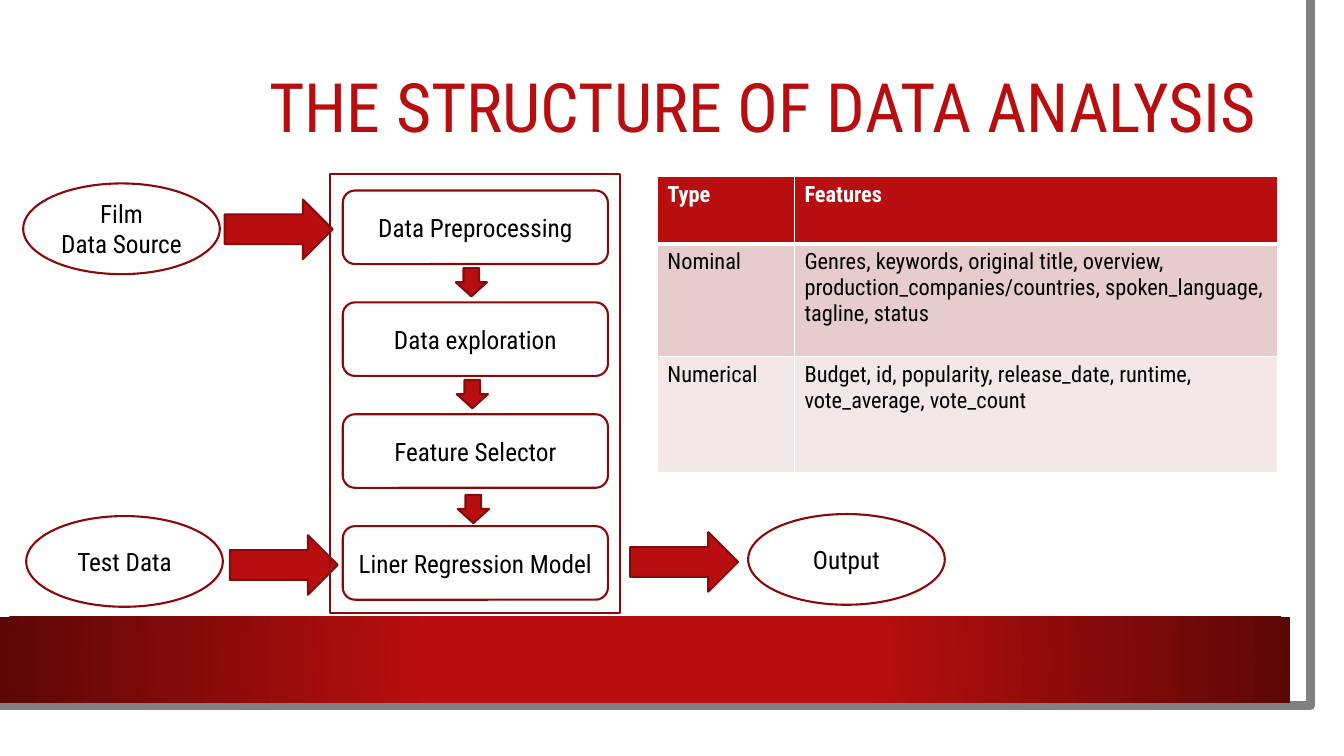
from lxml import etree
from pptx import Presentation
from pptx.dml.color import RGBColor
from pptx.enum.shapes import MSO_SHAPE
from pptx.enum.text import MSO_ANCHOR, PP_ALIGN
from pptx.oxml import parse_xml
from pptx.oxml.ns import nsdecls, qn
from pptx.util import Inches, Pt

RECT = MSO_SHAPE.RECTANGLE
ROUND = MSO_SHAPE.ROUNDED_RECTANGLE
OVAL = MSO_SHAPE.OVAL
RIGHT = MSO_SHAPE.RIGHT_ARROW
DOWN = MSO_SHAPE.DOWN_ARROW
MIDDLE = MSO_ANCHOR.MIDDLE

FONT = "Roboto Condensed"
HEX = {"red": "B80E0F", "edge": "880A0B", "dark": "5C0707", "gray": "808080",
       "white": "FFFFFF", "black": "000000", "rose": "E6CCCC", "pale": "F3E7E7"}
COLOR = {name: RGBColor.from_string(code) for name, code in HEX.items()}


def write(frame, text, size=18, color="black", bold=False, align=PP_ALIGN.CENTER):
    for i, line in enumerate(text.split("\n")):
        para = frame.paragraphs[0] if i == 0 else frame.add_paragraph()
        para.alignment = align
        run = para.add_run()
        run.text = line
        run.font.name = FONT
        run.font.size = Pt(size)
        run.font.bold = bold
        run.font.color.rgb = COLOR[color]


def draw(kind, left, top, width, height, fill=None, text=""):
    """Add an outlined shape with a centred label."""
    shape = shapes.add_shape(kind, Inches(left), Inches(top), Inches(width), Inches(height))
    shape.shadow.inherit = False
    if fill:
        shape.fill.solid()
        shape.fill.fore_color.rgb = COLOR[fill]
    else:
        shape.fill.background()
    shape.line.color.rgb = COLOR["edge"]
    shape.line.width = Pt(1.5)
    if text:
        frame = shape.text_frame
        frame.word_wrap = False
        frame.vertical_anchor = MIDDLE
        write(frame, text)
    return shape


deck = Presentation()
deck.slide_width = Inches(13.33)
deck.slide_height = Inches(7.5)
slide = deck.slides.add_slide(deck.slide_layouts[6])
shapes = slide.shapes

# Gray page edge and red band
path = shapes.build_freeform(12.82, 0, scale=Inches(1))
path.add_line_segments([(12.85, 7.02), (-0.03, 7.01)], close=False)
edge = path.convert_to_shape()
edge.shadow.inherit = False
edge.fill.background()
edge.line.color.rgb = COLOR["gray"]
edge.line.width = Pt(6.5)

band = draw(RECT, 0, 6.12, 12.8, 0.85)
band.line.fill.background()
band.fill.gradient()
for stop, (spot, name) in zip(band.fill.gradient_stops, [(0.34, "red"), (1, "dark")]):
    stop.position = spot
    stop.color.rgb = COLOR[name]
grad = band._element.spPr.find(qn("a:gradFill"))
grad.remove(grad.find(qn("a:lin")))
radial = etree.SubElement(grad, qn("a:path"), path="circle")
etree.SubElement(radial, qn("a:fillToRect"), l="50000", t="50000", r="50000", b="50000")

# Title
title = shapes.add_textbox(Inches(1.19), Inches(0.65), Inches(11.37), Inches(0.9)).text_frame
title.word_wrap = True
title.vertical_anchor = MIDDLE
write(title, "THE STRUCTURE OF DATA ANALYSIS", size=48.6, color="red", align=PP_ALIGN.RIGHT)
title.paragraphs[0].line_spacing = 0.9

# Flow: inputs, steps and output
for left, top, text in [(0.23, 1.82, "Film\nData Source"), (0.26, 5.12, "Test Data"),
                        (7.42, 5.1, "Output")]:
    draw(OVAL, left, top, 1.95, 0.9, text=text)
for left, top in [(2.23, 1.98), (2.28, 5.31), (6.25, 5.28)]:
    draw(RIGHT, left, top, 1.07, 0.59, fill="red")

steps = ["Data Preprocessing", "Data exploration", "Feature Selector", "Liner Regression Model"]
for i, step in enumerate(steps):
    draw(ROUND, 3.4, 1.89 + 1.11 * i, 2.63, 0.73, text=step)
draw(RECT, 3.27, 1.73, 2.88, 4.35)
for left, top in [(4.52, 2.66), (4.53, 3.77), (4.54, 4.91)]:
    draw(DOWN, left, top, 0.31, 0.28, fill="red")

# Feature table
rows = [
    ("Type", "Features"),
    ("Nominal", "Genres, keywords, original title, overview, "
                "production_companies/countries, spoken_language, tagline, status"),
    ("Numerical", "Budget, id, popularity, release_date, runtime, vote_average, vote_count"),
]
fills = ["red", "rose", "pale"]
table = shapes.add_table(3, 2, Inches(6.52), Inches(1.75), Inches(6.15), Inches(2.94)).table
for col, width in zip(table.columns, [1.36, 4.79]):
    col.width = Inches(width)
for row, height in zip(table.rows, [0.67, 1.12, 1.15]):
    row.height = Inches(height)
for r, row in enumerate(rows):
    head = r == 0
    for c, text in enumerate(row):
        cell = table.cell(r, c)
        write(cell.text_frame, text, size=16, color="white" if head else "black",
              bold=head, align=PP_ALIGN.LEFT)
        props = cell._tc.get_or_add_tcPr()
        for side in "LRTB":
            thick = (head and side == "B") or (r == 1 and side == "T")
            props.append(parse_xml(
                f'<a:ln{side} {nsdecls("a")} w="{Pt(3 if thick else 1)}"><a:solidFill>'
                f'<a:srgbClr val="{HEX["white"]}"/></a:solidFill></a:ln{side}>'))
        cell.fill.solid()
        cell.fill.fore_color.rgb = COLOR[fills[r]]

deck.save("out.pptx")
